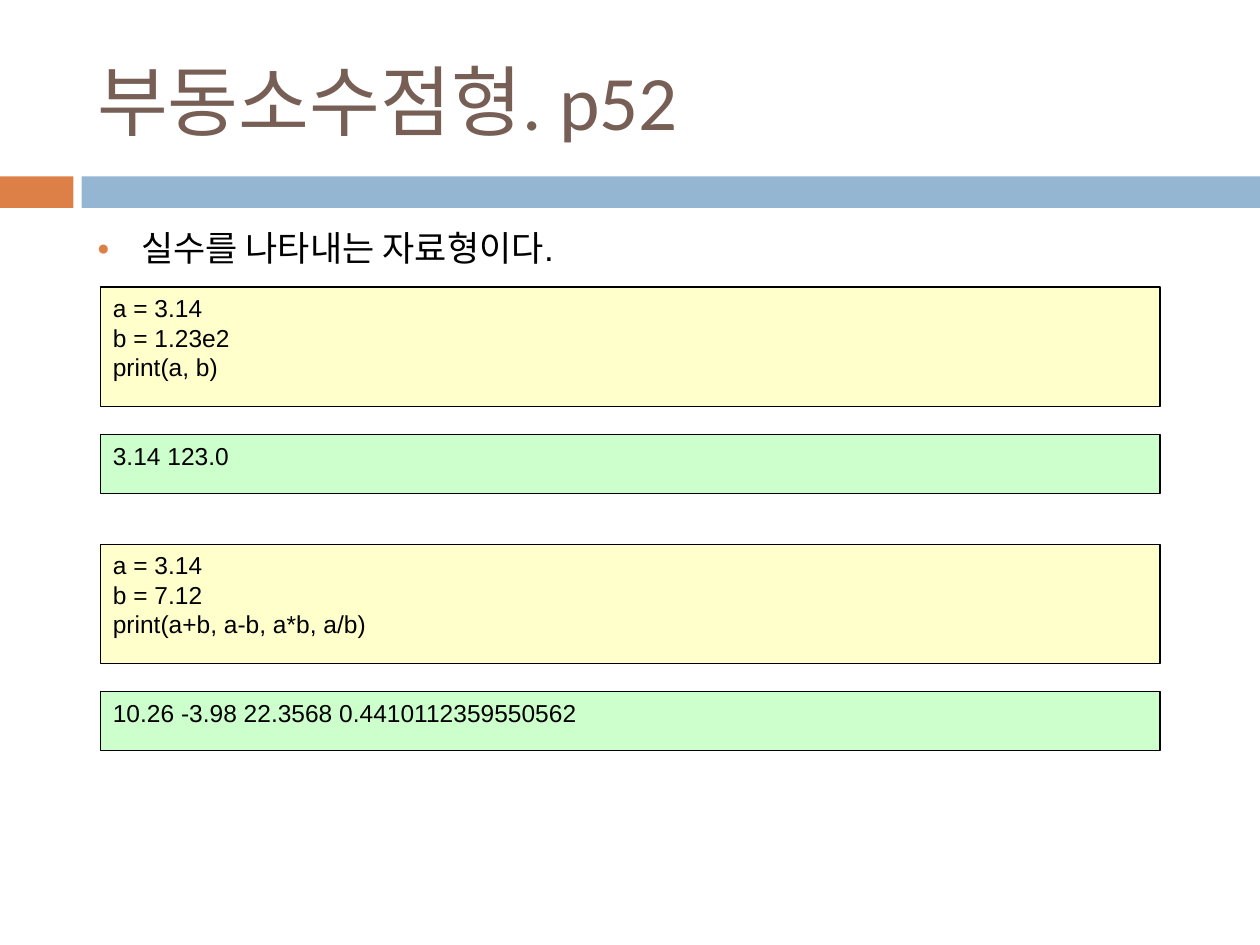
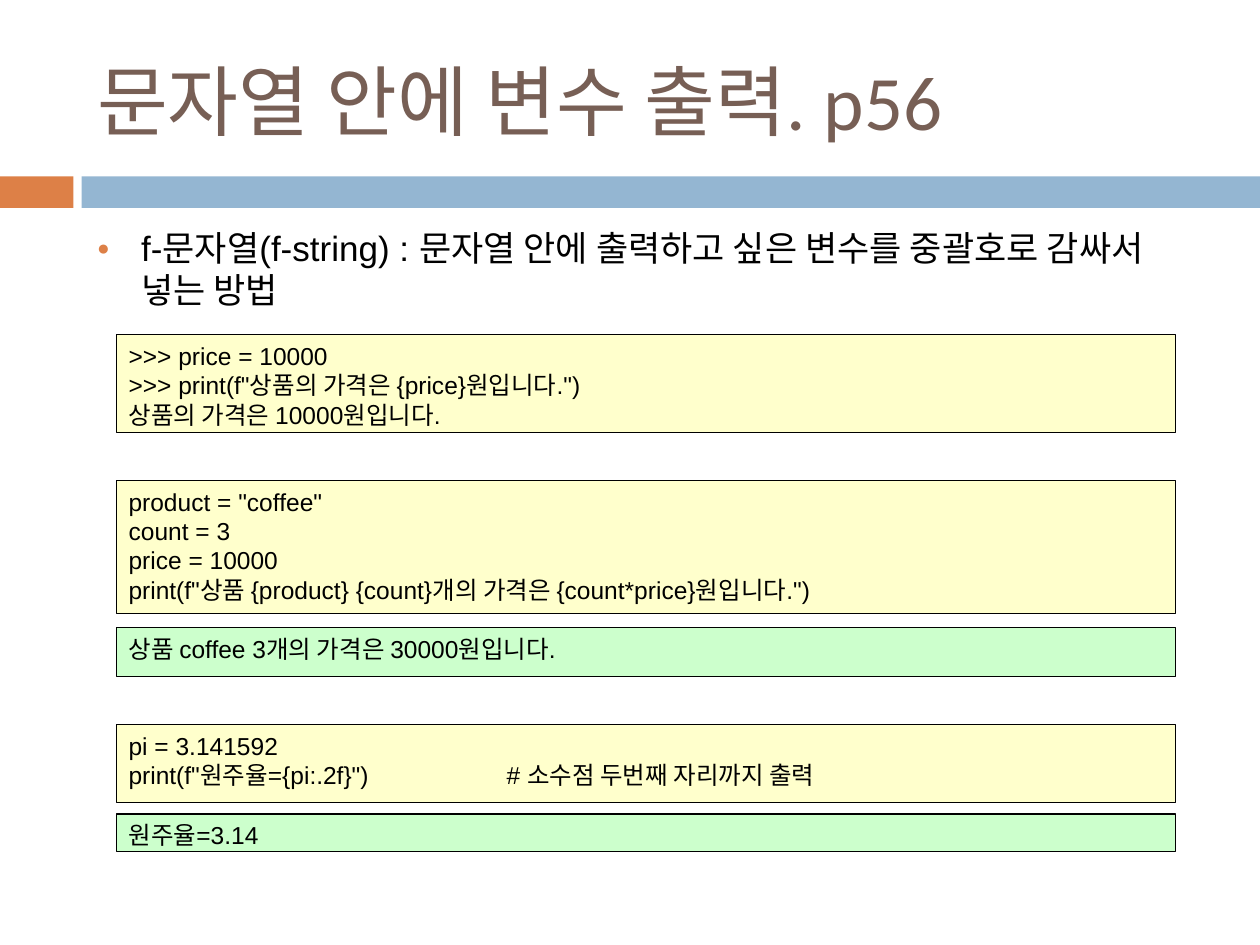
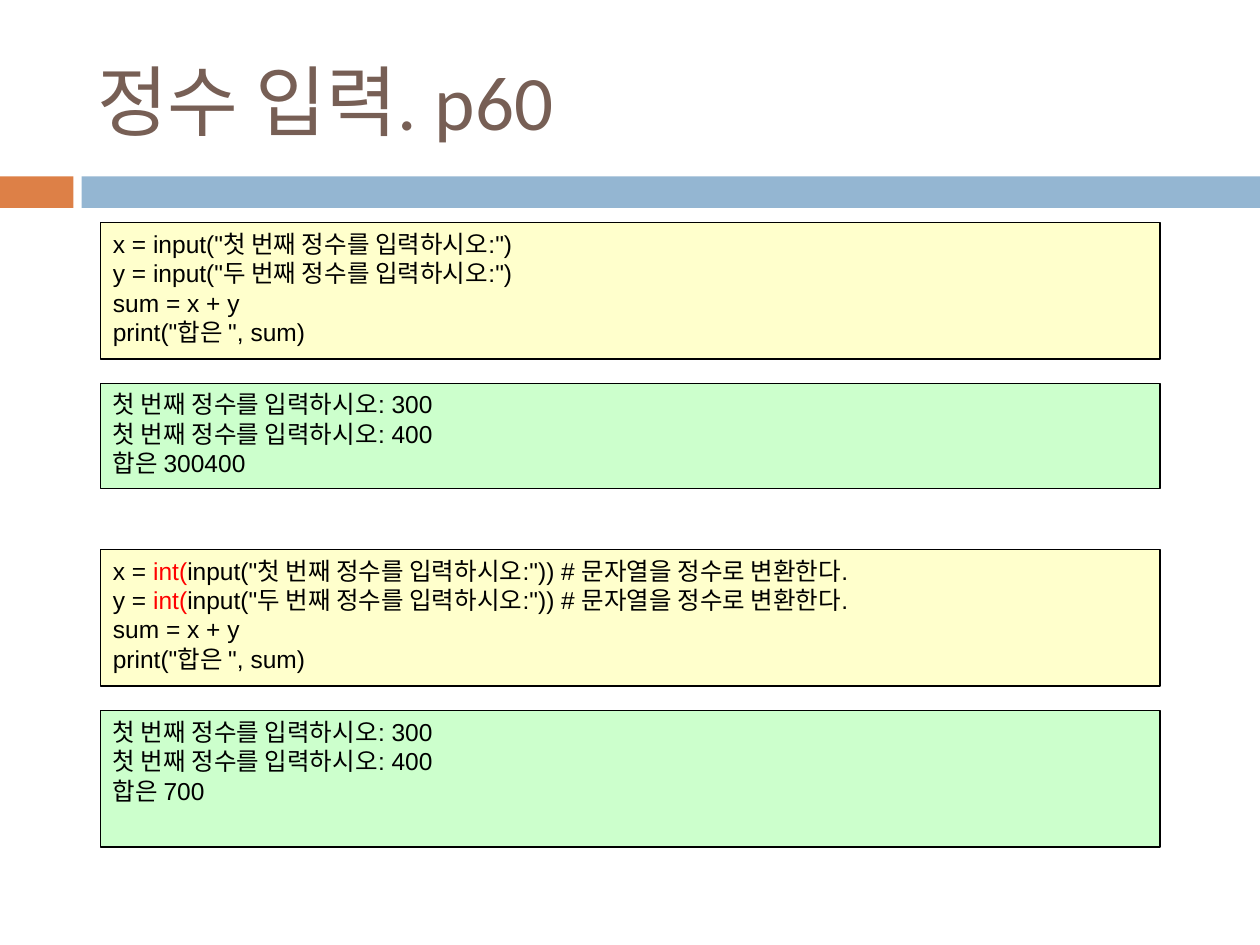
from typing import NamedTuple

from lxml import etree
from pptx import Presentation
from pptx.dml.color import RGBColor
from pptx.enum import shapes, text
from pptx.oxml import ns
from pptx.util import Pt

ORANGE, BLUE, BROWN = "DD8047", "94B6D2", "775F55"
CODE_FILL, OUTPUT_FILL = "FFFFCC", "CCFFCC"
BLACK, RED = "000000", "FF0000"
BODY_FONT, TITLE_FONT = "Arial", "Calibri"
LISTING_WIDTH = 605.5
COMMENT_TAB = 216


class Box(NamedTuple):
    left: float
    top: float
    width: float
    height: float


class Span(NamedTuple):
    text: str
    color: str = BLACK


class Listing(NamedTuple):
    top: float
    height: float
    fill: str
    lines: list[list[Span]]


class Page(NamedTuple):
    title: str
    point: str
    left: float
    listings: list[Listing]


TITLE_BOX = Box(48.25, 18, 642.25, 77.75)
BODY_BOX = Box(48.25, 126, 642.25, 354.25)
BANDS = [(Box(0, 100.8, 42, 18), ORANGE), (Box(46.6, 100.8, 673.4, 18), BLUE)]


def plain(lines: tuple[str, ...]) -> list[list[Span]]:
    return [[Span(line)] for line in lines]


def code(top: float, height: float, *lines: str) -> Listing:
    return Listing(top, height, CODE_FILL, plain(lines))


def output(top: float, height: float, *lines: str) -> Listing:
    return Listing(top, height, OUTPUT_FILL, plain(lines))


def converted_input(name: str, order: str) -> list[Span]:
    """Line of code that reads a number, with the conversion in red."""
    return [
        Span(f"{name} = "),
        Span("int(", RED),
        Span(f'input("{order} 번째 정수를 입력하시오:")) # 문자열을 정수로 변환한다.'),
    ]


ADDITION = ("sum = x + y", 'print("합은 ", sum)')
DIALOGUE = ("첫 번째 정수를 입력하시오: 300", "첫 번째 정수를 입력하시오: 400")

PAGES = [
    Page("부동소수점형. p52", "실수를 나타내는 자료형이다.", 57.4, [
        code(164, 68.25, "a = 3.14", "b = 1.23e2", "print(a, b)"),
        output(248.25, 33.75, "3.14 123.0"),
        code(311, 68.25, "a = 3.14", "b = 7.12", "print(a+b, a-b, a*b, a/b)"),
        output(395.25, 33.75, "10.26 -3.98 22.3568 0.4410112359550562"),
    ]),
    Page("문자열 안에 변수 출력. p56",
         "f-문자열(f-string) : 문자열 안에 출력하고 싶은 변수를 중괄호로 감싸서 넣는 방법", 66.4, [
        code(191.25, 56, ">>> price = 10000",
             '>>> print(f"상품의 가격은 {price}원입니다.")',
             "상품의 가격은 10000원입니다."),
        code(274.5, 76.25, 'product = "coffee"', "count = 3", "price = 10000",
             'print(f"상품 {product} {count}개의 가격은 {count*price}원입니다.")'),
        output(358.75, 28, "상품 coffee 3개의 가격은 30000원입니다."),
        code(414, 44.5, "pi = 3.141592",
             'print(f"원주율={pi:.2f}")\t# 소수점 두번째 자리까지 출력'),
        output(465.25, 21.25, "원주율=3.14"),
    ]),
    Page("정수 입력. p60", "", 57.4, [
        code(127.25, 78, 'x = input("첫 번째 정수를 입력하시오:")',
             'y = input("두 번째 정수를 입력하시오:")', *ADDITION),
        output(219, 60, *DIALOGUE, "합은 300400"),
        Listing(314, 78, CODE_FILL, [
            converted_input("x", "첫"), converted_input("y", "두"), *plain(ADDITION)]),
        output(406, 78, *DIALOGUE, "합은 700"),
    ]),
]


def rgb(color: str) -> RGBColor:
    return RGBColor.from_string(color)


def place(shape, box: Box) -> None:
    shape.left, shape.top, shape.width, shape.height = map(Pt, box)


def add_span(paragraph, span: Span, size: float, font: str = BODY_FONT) -> None:
    run = paragraph.add_run()
    run.text = span.text
    run.font.size = Pt(size)
    run.font.name = font
    run.font.color.rgb = rgb(span.color)


def add_rectangle(slide, box: Box, fill: str):
    rectangle = slide.shapes.add_shape(shapes.MSO_SHAPE.RECTANGLE, *map(Pt, box))
    rectangle.shadow.inherit = False
    rectangle.fill.solid()
    rectangle.fill.fore_color.rgb = rgb(fill)
    return rectangle


def add_bands_to_master(master, slide) -> None:
    """Draw the bands on a slide, then move them behind the master's contents."""
    for index, (box, fill) in enumerate(BANDS):
        band = add_rectangle(slide, box, fill)
        band.line.fill.background()
        master.shapes.element.insert(2 + index, band.element)


def add_property(parent, tag: str, **attributes: str):
    return etree.SubElement(parent, ns.qn(f"a:{tag}"), attributes)


def set_bullet(paragraph) -> None:
    properties = paragraph._p.get_or_add_pPr()
    properties.set("marL", str(Pt(25.2)))
    properties.set("indent", str(-Pt(25.2)))
    add_property(add_property(properties, "buClr"), "srgbClr", val=ORANGE)
    add_property(properties, "buSzPct", val="60000")
    add_property(properties, "buFont", typeface=BODY_FONT)
    add_property(properties, "buChar", char="●")


def set_comment_tab(paragraph) -> None:
    tabs = add_property(paragraph._p.get_or_add_pPr(), "tabLst")
    add_property(tabs, "tab", pos=str(Pt(COMMENT_TAB)), algn="l")


def fill_title(title, words: str) -> None:
    place(title, TITLE_BOX)
    frame = title.text_frame
    frame.auto_size = text.MSO_AUTO_SIZE.NONE
    frame.vertical_anchor = text.MSO_ANCHOR.MIDDLE
    frame.paragraphs[0].alignment = text.PP_ALIGN.LEFT
    add_span(frame.paragraphs[0], Span(words, BROWN), 44, TITLE_FONT)


def fill_body(body, point: str) -> None:
    place(body, BODY_BOX)
    body.text_frame.auto_size = text.MSO_AUTO_SIZE.NONE
    paragraph = body.text_frame.paragraphs[0]
    paragraph.space_before = Pt(7)
    set_bullet(paragraph)
    add_span(paragraph, Span(point), 20)


def add_listing(slide, left: float, listing: Listing) -> None:
    box = Box(left, listing.top, LISTING_WIDTH, listing.height)
    rectangle = add_rectangle(slide, box, listing.fill)
    rectangle.line.color.rgb = rgb(BLACK)
    rectangle.line.width = Pt(0.75)
    frame = rectangle.text_frame
    frame.word_wrap = True
    frame.vertical_anchor = text.MSO_ANCHOR.TOP
    for index, line in enumerate(listing.lines):
        paragraph = frame.add_paragraph() if index else frame.paragraphs[0]
        paragraph.alignment = text.PP_ALIGN.LEFT
        if any("\t" in span.text for span in line):
            set_comment_tab(paragraph)
        for span in line:
            add_span(paragraph, span, 14)


def main() -> None:
    deck = Presentation()
    deck.slide_width, deck.slide_height = Pt(720), Pt(540)
    with_body = deck.slide_layouts.get_by_name("Title and Content")
    title_only = deck.slide_layouts.get_by_name("Title Only")
    for page in PAGES:
        slide = deck.slides.add_slide(with_body if page.point else title_only)
        fill_title(slide.shapes.title, page.title)
        if page.point:
            fill_body(slide.placeholders[1], page.point)
        for listing in page.listings:
            add_listing(slide, page.left, listing)
    add_bands_to_master(deck.slide_master, deck.slides[0])
    deck.save("out.pptx")


if __name__ == "__main__":
    main()
